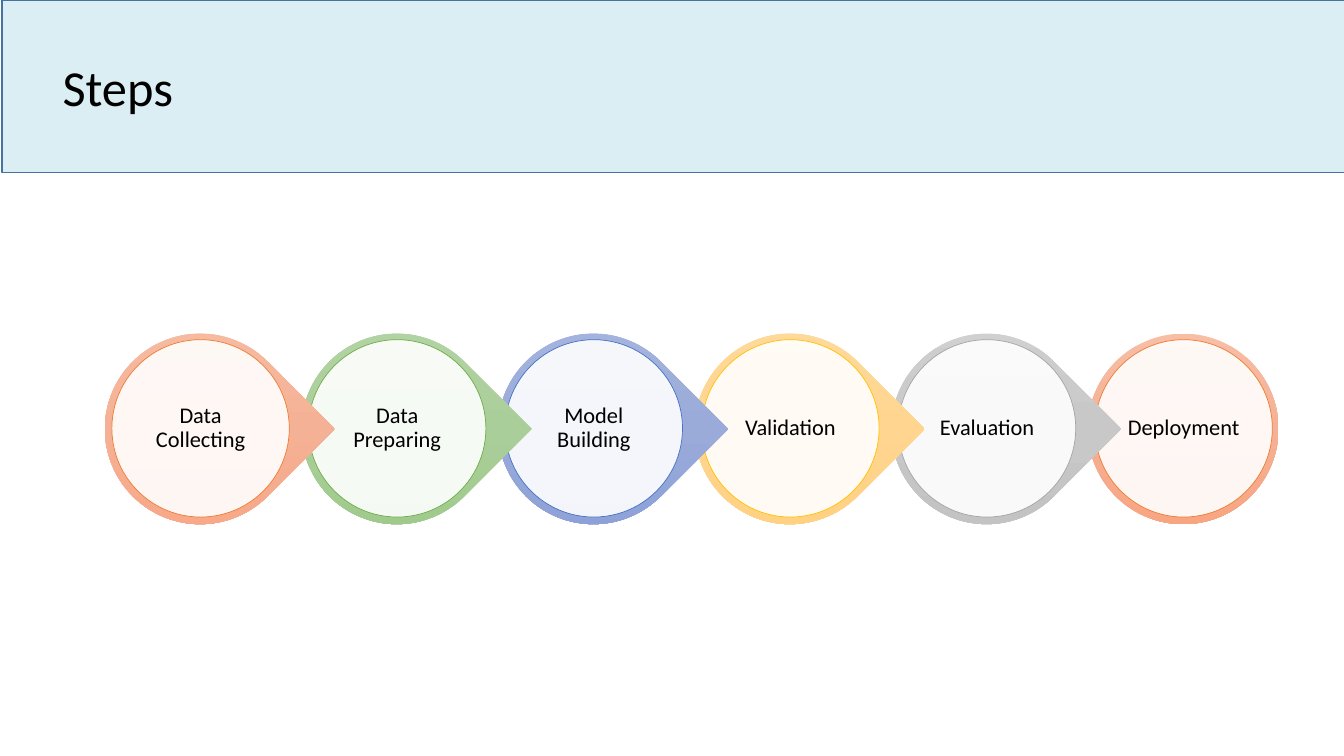
from lxml import etree
from pptx import Presentation
from pptx.dml.color import RGBColor
from pptx.enum.shapes import MSO_SHAPE
from pptx.enum.text import MSO_ANCHOR, MSO_AUTO_SIZE, PP_ALIGN
from pptx.oxml import parse_xml
from pptx.oxml.ns import nsdecls, qn
from pptx.util import Emu, Pt

OVAL, TEARDROP = MSO_SHAPE.OVAL, MSO_SHAPE.TEAR
MIDDLE, NO_AUTOFIT = MSO_ANCHOR.MIDDLE, MSO_AUTO_SIZE.NONE
LEFT, CENTER = PP_ALIGN.LEFT, PP_ALIGN.CENTER

EMU_PER_PX = 9144  # 100 px to the inch
FONT = "Calibri"
TITLE_ONLY = 5

COLORS = {
    "text": "000000",
    "disc": "FFFFFF",
    "banner": "DBEEF4",
    "banner_line": "43739E",
    "orange": "ED7D31",
    "green": "70AD47",
    "blue": "4472C4",
    "gold": "FFC000",
    "gray": "A5A5A5",
}
# Ring shades from top to bottom
GRADIENTS = {
    "orange": ("F7BDA5", "F5B196", "F8A582"),
    "green": ("B5D5A7", "AACE9A", "9CC987"),
    "blue": ("A8B7DF", "9AABD9", "889ED7"),
    "gold": ("FFDB9E", "FFD590", "FFD07C"),
    "gray": ("D2D2D2", "C8C8C8", "C0C0C0"),
}
STEPS = [
    ("Data Collecting", "orange"),
    ("Data Preparing", "green"),
    ("Model Building", "blue"),
    ("Validation", "gold"),
    ("Evaluation", "gray"),
    ("Deployment", "orange"),
]

# Step geometry in px
FIRST_LEFT, STEP_TOP, STEP_PITCH = 104, 331, 195
RING_SIZE, DISC_SIZE, LABEL_SIZE = 189, 176, 126
DISC_INSET, LABEL_INSET = 7, 32


def px(length):
    return Emu(length * EMU_PER_PX)


def color(name):
    return RGBColor.from_string(COLORS[name])


def format_text(frame, size, align, margins):
    frame.word_wrap = True
    frame.auto_size = NO_AUTOFIT
    frame.vertical_anchor = MIDDLE
    frame.margin_left, frame.margin_top, frame.margin_right, frame.margin_bottom = map(px, margins)
    paragraph = frame.paragraphs[0]
    paragraph.alignment = align
    paragraph.font.name = FONT
    paragraph.font.size = Pt(size)
    paragraph.font.color.rgb = color("text")
    return paragraph


def add_banner(slide, text):
    banner = slide.shapes.title
    banner.left, banner.top, banner.width, banner.height = map(px, (2, 0, 1333, 171))
    banner.fill.solid()
    banner.fill.fore_color.rgb = color("banner")
    banner.line.color.rgb = color("banner_line")
    banner.line.width = Pt(1)
    banner.text_frame.text = text
    format_text(banner.text_frame, 36, LEFT, (60, 5, 10, 5))


def add_ring(group, left, hue, pointed):
    ring = group.shapes.add_shape(TEARDROP if pointed else OVAL, px(left), px(STEP_TOP),
                                  px(RING_SIZE), px(RING_SIZE))
    ring.rotation = 45 if pointed else 0
    ring.shadow.inherit = False
    ring.line.fill.background()
    # Vertical three-stop gradient that stays upright under rotation
    stops = "".join(f'<a:gs pos="{i * 50000}"><a:srgbClr val="{shade}"/></a:gs>'
                    for i, shade in enumerate(GRADIENTS[hue]))
    gradient = parse_xml(f'<a:gradFill {nsdecls("a")} rotWithShape="0"><a:gsLst>{stops}</a:gsLst>'
                         '<a:lin ang="5400000" scaled="0"/></a:gradFill>')
    ring.element.spPr.find(qn("a:prstGeom")).addnext(gradient)


def add_disc(group, left, hue):
    disc = group.shapes.add_shape(OVAL, px(left + DISC_INSET), px(STEP_TOP + DISC_INSET - 1),
                                  px(DISC_SIZE), px(DISC_SIZE))
    disc.shadow.inherit = False
    disc.fill.solid()
    disc.fill.fore_color.rgb = color("disc")
    white = disc.element.spPr.find(qn("a:solidFill")).find(qn("a:srgbClr"))
    etree.SubElement(white, qn("a:alpha"), val="90000")
    disc.line.color.rgb = color(hue)
    disc.line.width = Pt(0.5)


def add_label(group, left, text):
    label = group.shapes.add_textbox(px(left + LABEL_INSET), px(STEP_TOP + LABEL_INSET - 1),
                                     px(LABEL_SIZE), px(LABEL_SIZE))
    label.text_frame.text = text
    paragraph = format_text(label.text_frame, 16, CENTER, (2, 2, 2, 2))
    paragraph.line_spacing = 0.9


def main():
    prs = Presentation()
    prs.slide_width, prs.slide_height = px(1333), px(750)
    slide = prs.slides.add_slide(prs.slide_layouts[TITLE_ONLY])

    # Title band
    add_banner(slide, "Steps")

    # Process chain, last step at the back so each point overlaps the next ring
    chain = slide.shapes.add_group_shape()
    last = len(STEPS) - 1
    for index, (text, hue) in reversed(list(enumerate(STEPS))):
        left = FIRST_LEFT + index * STEP_PITCH
        add_ring(chain, left, hue, pointed=index < last)
        add_disc(chain, left, hue)
        add_label(chain, left, text)

    prs.save("out.pptx")


if __name__ == "__main__":
    main()
